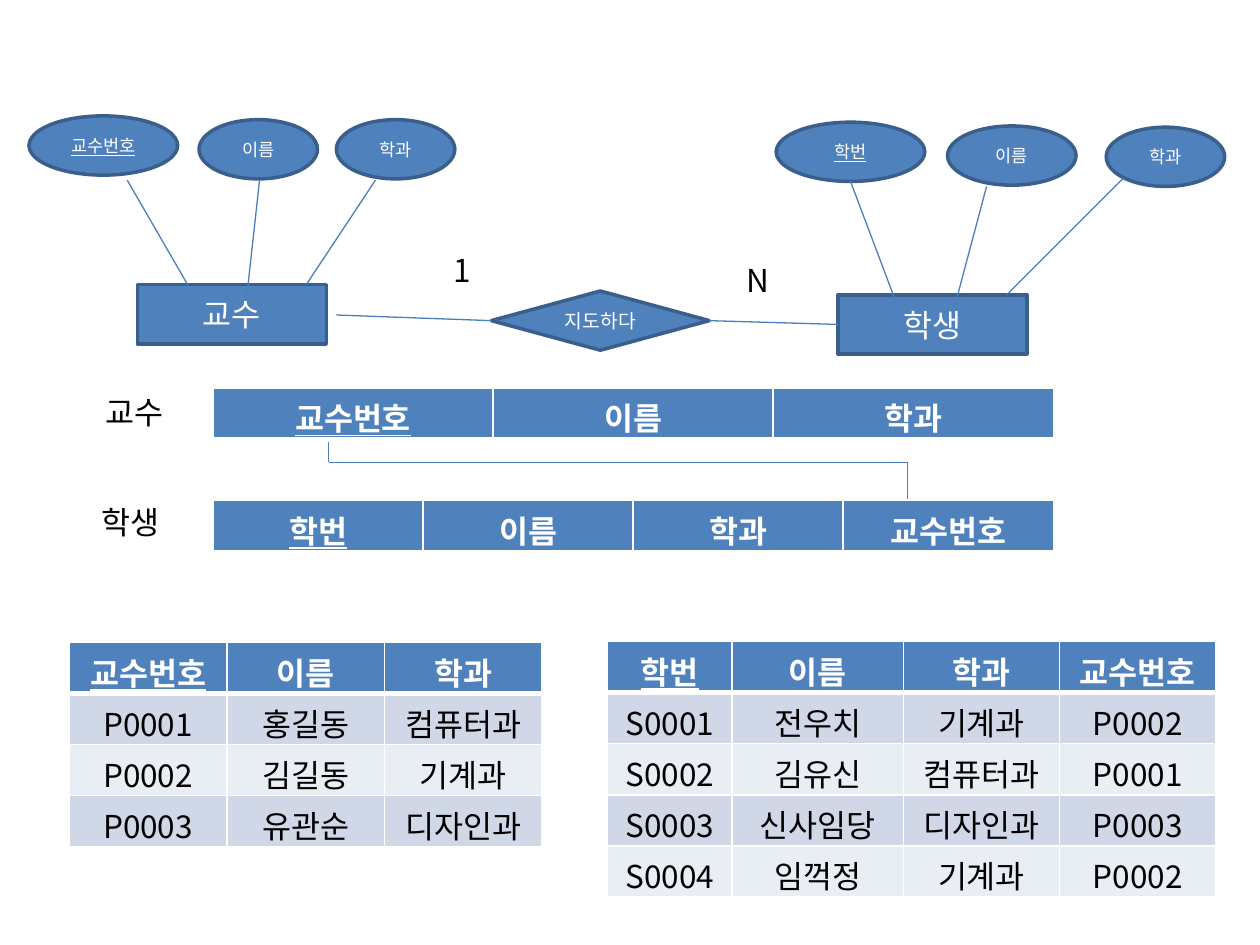
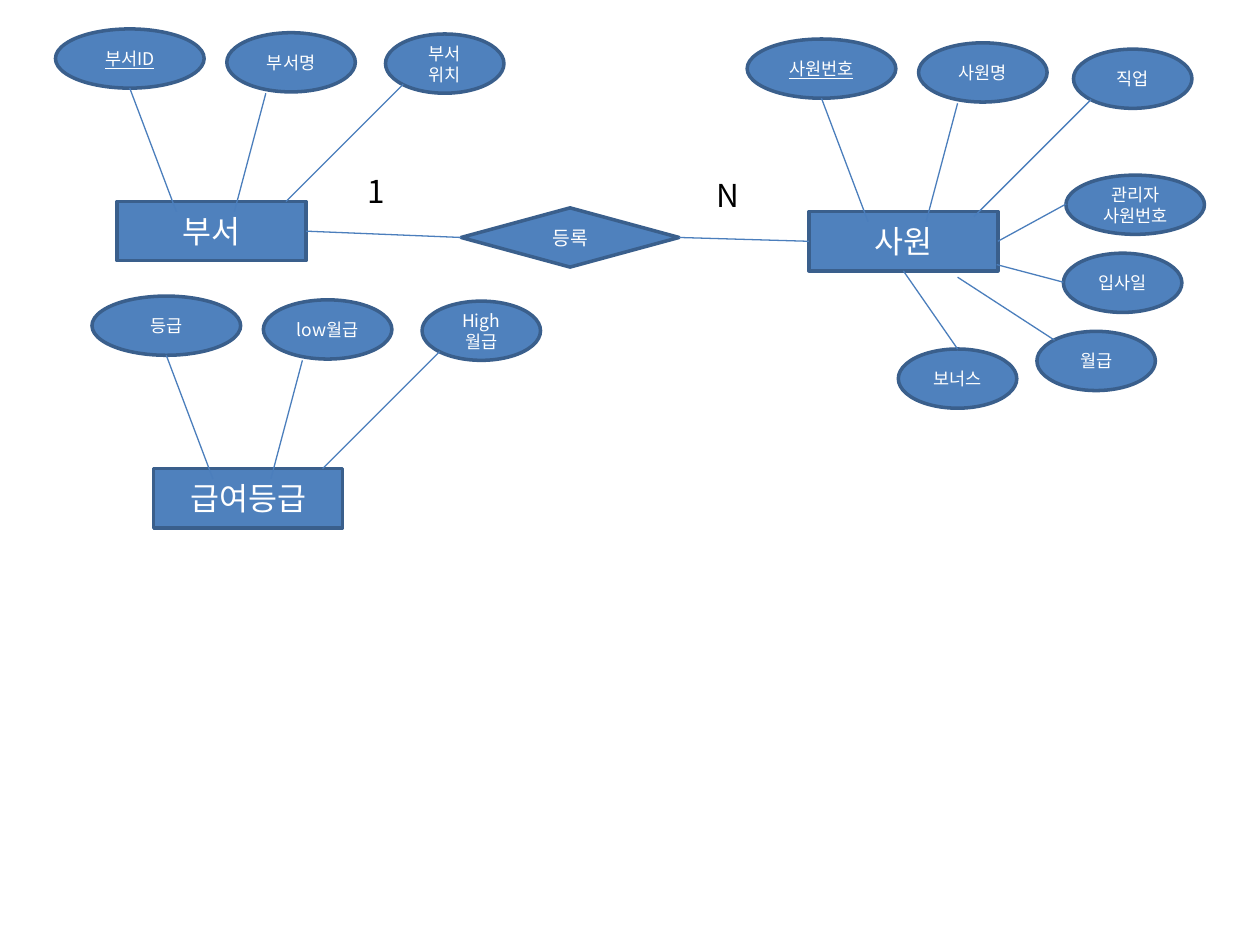
import dataclasses
import itertools

import lxml.etree
import pptx
import pptx.dml.color
import pptx.enum.shapes
import pptx.enum.text
import pptx.oxml.ns
import pptx.util

Inches = pptx.util.Inches
Pt = pptx.util.Pt
RGB = pptx.dml.color.RGBColor.from_string
MSO_SHAPE = pptx.enum.shapes.MSO_SHAPE
STRAIGHT = pptx.enum.shapes.MSO_CONNECTOR.STRAIGHT
ALIGN = pptx.enum.text.PP_ALIGN
qn = pptx.oxml.ns.qn


@dataclasses.dataclass(frozen=True)
class Theme:
    font: str = "Noto Sans CJK KR"
    fill: str = "4F81BD"
    outline: str = "3A5F8C"
    link: str = "4B7EBC"
    white: str = "FFFFFF"
    black: str = "000000"
    bands: tuple = ("D0D8E8", "E9EDF4")
    large: int = 18
    medium: int = 11
    small: int = 10
    outline_width: float = 2
    link_width: float = 0.75


theme = Theme()


def write(tf, text, size=theme.large, color=theme.black, bold=False, underline=False, align=ALIGN.LEFT):
    tf.word_wrap = True
    for i, part in enumerate(text.split("\n")):
        p = tf.paragraphs[0] if i == 0 else tf.add_paragraph()
        p.alignment = align
        r = p.add_run()
        r.text = part
        r.font.size = Pt(size)
        r.font.name = theme.font
        r.font.bold = bold
        r.font.underline = underline
        r.font.color.rgb = RGB(color)
        ea = lxml.etree.SubElement(r.font._element, qn("a:ea"))
        ea.set("typeface", theme.font)


def connect(s, x1, y1, x2, y2, begin=None, end=None):
    c = s.shapes.add_connector(STRAIGHT, Inches(x1), Inches(y1), Inches(x2), Inches(y2))
    c.line.color.rgb = RGB(theme.link)
    c.line.width = Pt(theme.link_width)
    lxml.etree.SubElement(c._element.spPr, qn("a:effectLst"))
    if begin:
        c.begin_connect(*begin)
    if end:
        c.end_connect(*end)


kinds = {
    "entity": (MSO_SHAPE.RECTANGLE, 1.5, theme.large),
    "key": (MSO_SHAPE.OVAL, 1.18, theme.small),
    "wide": (MSO_SHAPE.OVAL, 1.1, theme.small),
    "middle": (MSO_SHAPE.OVAL, 1.02, theme.small),
    "attribute": (MSO_SHAPE.OVAL, 0.94, theme.small),
    "relation": (MSO_SHAPE.DIAMOND, 1.73, theme.medium),
}
node_height = 0.47

professor_columns = ["교수번호", "이름", "학과"]
student_columns = ["학번", "이름", "학과", "교수번호"]

slides = [
    dict(
        families=[(6.16, 0.97, "학생", ["학번", "이름", "학과"], 0, 0)],
        nodes=[
            ("entity", "교수", 1.09, 2.26),
            ("key", "교수번호", 0.23, 0.92),
            ("attribute", "이름", 1.58, 0.95),
            ("attribute", "학과", 2.67, 0.95),
            ("relation", "지도하다", 3.9, 2.31),
        ],
        links=[
            (1.01, 1.43, 1.49, 2.26),
            (2.06, 1.43, 1.96, 2.34),
            (2.98, 1.43, 2.43, 2.26),
            (2.67, 2.5, 3.9, 2.55, None, ("지도하다", 1)),
            (5.63, 2.55, 6.65, 2.58, ("지도하다", 3), ("학생", 1)),
        ],
        labels=[
            ("1", 3.5, 1.94, 0.31),
            ("N", 5.83, 2.02, 0.31),
            ("교수", 0.74, 3.07, 0.75),
            ("학생", 0.71, 3.94, 0.75),
        ],
        reference=[(2.61, 3.47), (2.61, 3.67), (7.2, 3.67), (7.2, 3.97)],
        tables=[
            (1.69, 3.08, 0.41, [6.67 / 3] * 3, [professor_columns]),
            (1.69, 3.97, 0.41, [6.67 / 4] * 4, [student_columns]),
            (0.55, 5.1, 1.62, [1.25] * 3, [
                professor_columns,
                ["P0001", "홍길동", "컴퓨터과"],
                ["P0002", "김길동", "기계과"],
                ["P0003", "유관순", "디자인과"],
            ]),
            (4.82, 5.09, 2.03, [0.99, 1.36, 1.24, 1.24], [
                student_columns,
                ["S0001", "전우치", "기계과", "P0002"],
                ["S0002", "김유신", "컴퓨터과", "P0001"],
                ["S0003", "신사임당", "디자인과", "P0003"],
                ["S0004", "임꺽정", "기계과", "P0002"],
            ]),
        ],
    ),
    dict(
        families=[
            (0.44, 0.23, "부서", ["부서ID", "부서명", "부서\n위치"], 0, 0),
            (5.93, 0.31, "사원", ["사원번호", "사원명", "직업"], -0.03, 0.04),
            (0.73, 2.35, "급여등급", ["등급", "low월급", "High\n월급"], 0, 0),
        ],
        nodes=[
            ("relation", "등록", 3.66, 1.65),
            ("wide", "관리자\n사원번호", 8.46, 1.39),
            ("attribute", "입사일", 8.44, 2.01),
            ("attribute", "월급", 8.23, 2.63),
            ("attribute", "보너스", 7.13, 2.77),
        ],
        links=[
            (2.43, 1.84, 3.66, 1.88, ("부서", 3), ("등록", 1)),
            (5.39, 1.89, 6.42, 1.91, ("등록", 3), ("사원", 1)),
            (7.91, 1.91, 8.46, 1.62, ("사원", 3)),
            (7.91, 2.1, 8.44, 2.24),
            (7.6, 2.2, 8.37, 2.7),
            (7.17, 2.15, 7.6, 2.77, ("사원", 2)),
        ],
        labels=[("N", 5.59, 1.35, 0.31), ("1", 2.82, 1.32, 0.31)],
        reference=[],
        tables=[],
    ),
]
underlined = {"교수번호", "학번", "부서ID", "사원번호"}

prs = pptx.Presentation()
prs.slide_width = Inches(10)
prs.slide_height = Inches(7.5)

for content in slides:
    s = prs.slides.add_slide(prs.slide_layouts[6])
    nodes = list(content["nodes"])
    links = list(content["links"])
    for x, y, entity, (key, second, third), dx, dy in content["families"]:
        nodes += [
            ("entity", entity, x + 0.49, y + 1.37),
            ("key", key, x, y),
            ("middle", second, x + 1.36, y + 0.03),
            ("attribute", third, x + 2.62 + dx, y + 0.04 + dy),
        ]
        links += [
            (x + 0.59, y + 0.47, x + 0.96, y + 1.45),
            (x + 1.67, y + 0.51, x + 1.42, y + 1.45),
            (x + 2.76 + dx, y + 0.44 + dy, x + 1.83 + dx, y + 1.37 + dy),
        ]

    named = {}
    for kind, text, x, y in nodes:
        preset, width, size = kinds[kind]
        sp = s.shapes.add_shape(preset, Inches(x), Inches(y), Inches(width), Inches(node_height))
        sp.shadow.inherit = False
        sp.fill.solid()
        sp.fill.fore_color.rgb = RGB(theme.fill)
        sp.line.color.rgb = RGB(theme.outline)
        sp.line.width = Pt(theme.outline_width)
        sp.text_frame.vertical_anchor = pptx.enum.text.MSO_ANCHOR.MIDDLE
        write(sp.text_frame, text, size=size, color=theme.white, align=ALIGN.CENTER,
              underline=kind == "key" and text in underlined)
        named[text] = sp

    for x1, y1, x2, y2, *joins in links:
        ends = [join and (named[join[0]], join[1]) for join in joins]
        connect(s, x1, y1, x2, y2, *ends)

    for start, stop in itertools.pairwise(content["reference"]):
        connect(s, *start, *stop)

    for text, x, y, width in content["labels"]:
        sp = s.shapes.add_textbox(Inches(x), Inches(y), Inches(width), Inches(0.4))
        write(sp.text_frame, text)

    for x, y, height, widths, rows in content["tables"]:
        frame = s.shapes.add_table(len(rows), len(widths), Inches(x), Inches(y),
                                   Inches(sum(widths)), Inches(height))
        table = frame.table
        table.horz_banding = False
        for column, width in zip(table.columns, widths):
            column.width = Inches(width)
        for i, values in enumerate(rows):
            table.rows[i].height = Inches(height / len(rows))
            header = i == 0
            for j, text in enumerate(values):
                cell = table.cell(i, j)
                cell.margin_bottom = 0
                tcPr = cell._tc.get_or_add_tcPr()
                for side in "LRTB":
                    ln = lxml.etree.SubElement(tcPr, qn("a:ln" + side))
                    thick = header and side == "B" or i == 1 and side == "T"
                    ln.set("w", str(Pt(3 if thick else 1)))
                    paint = lxml.etree.SubElement(ln, qn("a:solidFill"))
                    lxml.etree.SubElement(paint, qn("a:srgbClr")).set("val", theme.white)
                cell.fill.solid()
                cell.fill.fore_color.rgb = RGB(theme.fill if header else theme.bands[(i - 1) % 2])
                write(cell.text_frame, text, color=theme.white if header else theme.black,
                      bold=header, underline=header and j == 0, align=ALIGN.CENTER)

prs.save("out.pptx")
